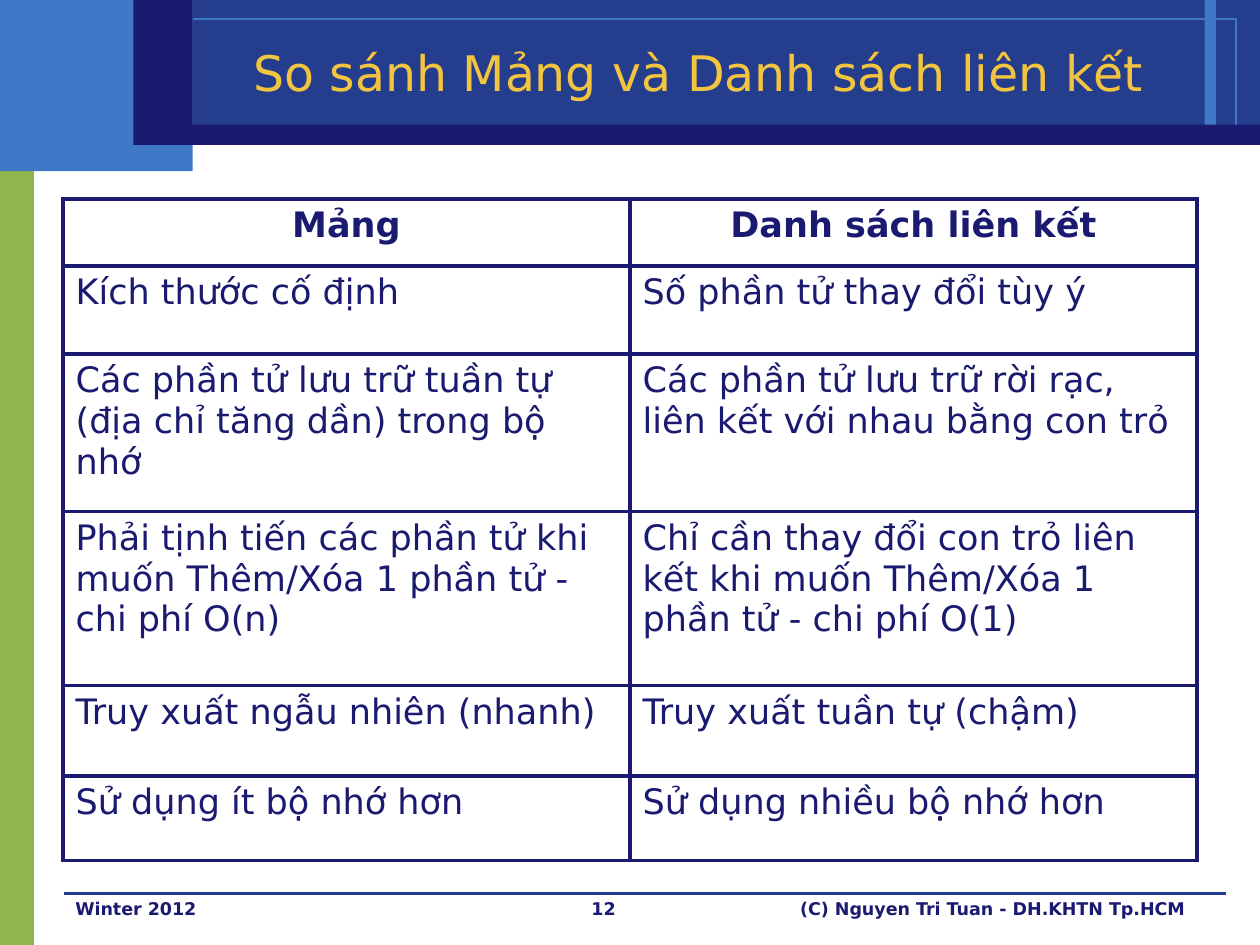
from dataclasses import dataclass

from lxml import etree
from pptx import Presentation
from pptx.dml.color import RGBColor
from pptx.enum.shapes import MSO_CONNECTOR, MSO_SHAPE
from pptx.enum.text import MSO_ANCHOR, MSO_AUTO_SIZE, PP_ALIGN
from pptx.oxml.ns import qn
from pptx.util import Inches, Pt

RECT = MSO_SHAPE.RECTANGLE
STRAIGHT = MSO_CONNECTOR.STRAIGHT
LEFT, CENTER, RIGHT = PP_ALIGN.LEFT, PP_ALIGN.CENTER, PP_ALIGN.RIGHT
MIDDLE = MSO_ANCHOR.MIDDLE
TITLE_ONLY = 5


@dataclass(frozen=True)
class Theme:
    font: str = "DejaVu Sans"
    navy: str = "1A1A70"
    band: str = "243D8C"
    sky: str = "3E78C6"
    green: str = "90B54D"
    gold: str = "F3C43F"
    title_size: int = 28
    table_size: int = 20
    footer_size: int = 10
    border: float = 2.25


THEME = Theme()

ROWS = [
    ("Mảng", "Danh sách liên kết"),
    ("Kích thước cố định", "Số phần tử thay đổi tùy ý"),
    ("Các phần tử lưu trữ tuần tự (địa chỉ tăng dần) trong bộ nhớ",
     "Các phần tử lưu trữ rời rạc, liên kết với nhau bằng con trỏ"),
    ("Phải tịnh tiến các phần tử khi muốn Thêm/Xóa 1 phần tử - chi phí O(n)",
     "Chỉ cần thay đổi con trỏ liên kết khi muốn Thêm/Xóa 1 phần tử - chi phí O(1)"),
    ("Truy xuất ngẫu nhiên (nhanh)", "Truy xuất tuần tự (chậm)"),
    ("Sử dụng ít bộ nhớ hơn", "Sử dụng nhiều bộ nhớ hơn"),
]
ROW_HEIGHTS = [0.53, 0.7, 1.25, 1.38, 0.72, 0.67]


def rgb(color):
    return RGBColor.from_string(color)


def box(*lengths):
    return [Inches(v) for v in lengths]


def write(tf, text, size, color, align=LEFT, bold=False):
    p = tf.paragraphs[0]
    p.alignment = align
    r = p.add_run()
    r.text = text
    for name, value in {"name": THEME.font, "size": Pt(size), "bold": bold}.items():
        setattr(r.font, name, value)
    r.font.color.rgb = rgb(color)


def add_rect(slide, at, fill=None, line=None):
    sp = slide.shapes.add_shape(RECT, *box(*at))
    sp.shadow.inherit = False
    if fill:
        sp.fill.solid()
        sp.fill.fore_color.rgb = rgb(fill)
    else:
        sp.fill.background()
    if line:
        sp.line.color.rgb = rgb(line)
        sp.line.width = Pt(0)
    else:
        sp.line.fill.background()


def add_rule(slide, start, end):
    line = slide.shapes.add_connector(STRAIGHT, *box(*start, *end))
    line.line.color.rgb = rgb(THEME.band)
    line.line.width = Pt(0)
    etree.SubElement(line._element.spPr, qn("a:effectLst"))


def add_footer(slide, left, width, text, align):
    tf = slide.shapes.add_textbox(*box(left, 7.08, width, 0.42)).text_frame
    tf.word_wrap = True
    write(tf, text, THEME.footer_size, THEME.navy, align, bold=True)


def set_title(slide, text):
    title = slide.shapes.title
    title.left, title.top, title.width, title.height = box(1.5, 0.26, 8.08, 0.62)
    tf = title.text_frame
    for name, value in {"word_wrap": True, "auto_size": MSO_AUTO_SIZE.NONE,
                        "vertical_anchor": MIDDLE}.items():
        setattr(tf, name, value)
    write(tf, text, THEME.title_size, THEME.gold, CENTER)
    # Bring the title in front of the header band
    slide.shapes._spTree.append(title._element)


def set_borders(cell):
    tcPr = cell._tc.get_or_add_tcPr()
    for i, side in enumerate(("lnL", "lnR", "lnT", "lnB")):
        ln = etree.Element(qn(f"a:{side}"), w=str(Pt(THEME.border)))
        fill = etree.SubElement(ln, qn("a:solidFill"))
        etree.SubElement(fill, qn("a:srgbClr"), val=THEME.navy)
        tcPr.insert(i, ln)


def add_comparison(slide):
    frame = slide.shapes.add_table(len(ROWS), 2, *box(0.5, 1.58, 9, sum(ROW_HEIGHTS)))
    table = frame.table
    table.first_row = table.horz_banding = False
    for row, height in zip(table.rows, ROW_HEIGHTS):
        row.height = Inches(height)
    for i, texts in enumerate(ROWS):
        header = i == 0
        for j, text in enumerate(texts):
            cell = table.cell(i, j)
            cell.fill.background()
            set_borders(cell)
            write(cell.text_frame, text, THEME.table_size, THEME.navy,
                  CENTER if header else LEFT, bold=header)


def add_backdrop(slide):
    add_rect(slide, (0, 1.07, 0.27, 6.43), THEME.green)
    add_rect(slide, (0, 0, 1.53, 1.36), THEME.sky)
    add_rect(slide, (1.53, 0, 8.47, 1.15), THEME.band)
    add_rect(slide, (9.56, 0, 0.09, 1), THEME.sky)
    add_rect(slide, (0.2, 0.15, 9.61, 0.85), line=THEME.sky)
    add_rule(slide, (0.51, 7.09), (9.73, 7.09))
    add_rect(slide, (1.3, 0.99, 8.7, 0.16), THEME.navy)
    add_rect(slide, (1.06, 0, 0.47, 1.15), THEME.navy)


def main():
    prs = Presentation()
    prs.slide_width, prs.slide_height = box(10, 7.5)
    slide = prs.slides.add_slide(prs.slide_layouts[TITLE_ONLY])

    # Header band, side bar and footer rule
    add_backdrop(slide)

    # Footer
    add_footer(slide, 4, 1.58, "12", CENTER)
    add_footer(slide, 0.5, 2.33, "Winter 2012", LEFT)
    add_footer(slide, 5.92, 3.58, "(C) Nguyen Tri Tuan - DH.KHTN Tp.HCM", RIGHT)

    # Title and comparison table
    set_title(slide, "So sánh Mảng và Danh sách liên kết")
    add_comparison(slide)

    prs.save("out.pptx")


if __name__ == "__main__":
    main()
